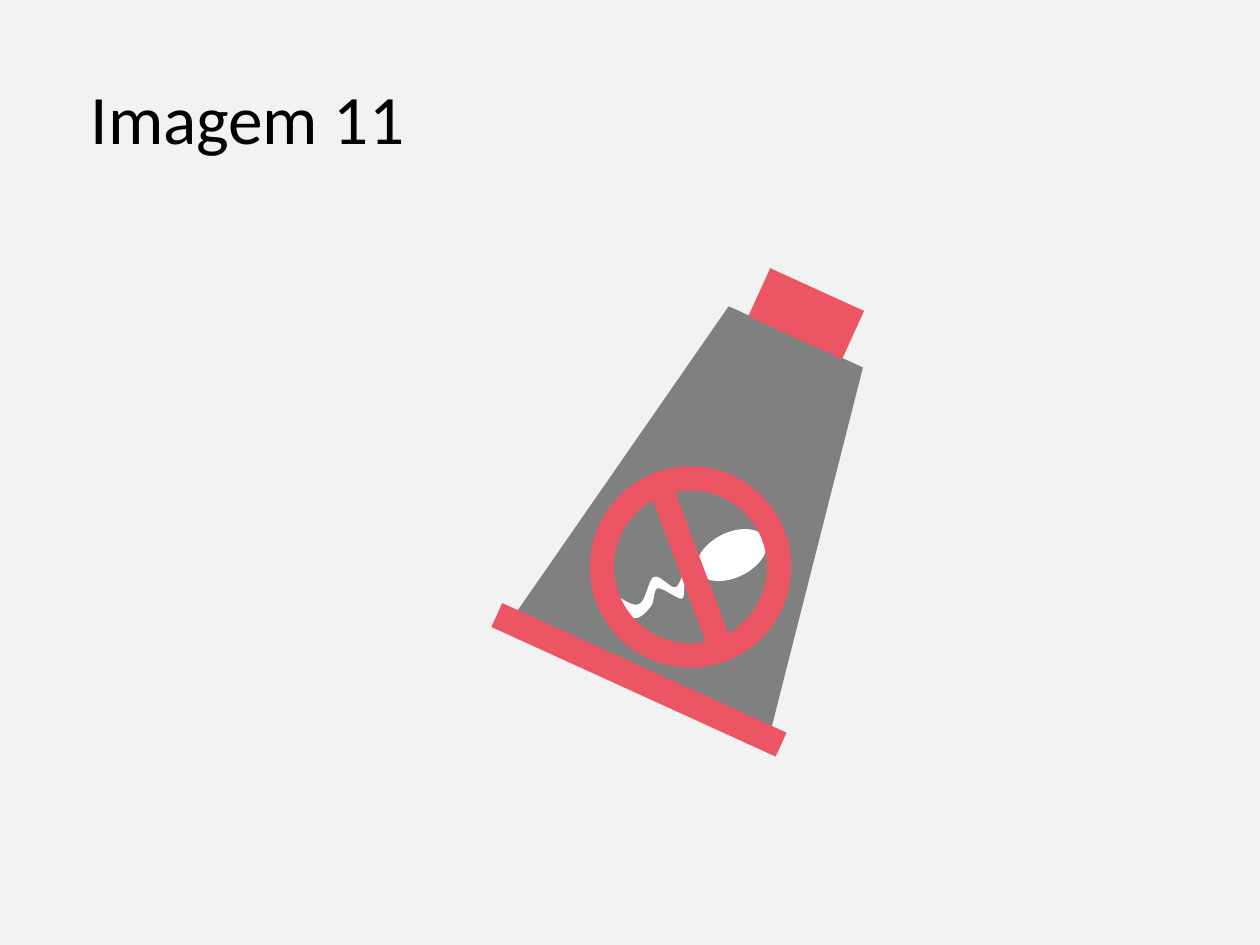
from pptx import Presentation
from pptx.dml.color import RGBColor
from pptx.enum.shapes import MSO_SHAPE as Preset
from pptx.enum.text import MSO_ANCHOR as Anchor, PP_ALIGN as Align
from pptx.util import Cm, Pt

RED, GREY, WHITE = "EC5664", "808080", "FFFFFF"
TILT = 24.5
CURVE_STEPS = 8

TAIL_START = (14.27, 11.46)
TAIL_CURVES = [
    ((14.17, 11.46), (13.94, 11.46), (13.84, 11.53)),
    ((13.72, 11.58), (13.72, 11.81), (13.61, 11.84)),
    ((13.51, 11.86), (13.31, 11.58), (13.18, 11.63)),
    ((13.06, 11.68), (13.03, 12.17), (12.85, 12.19)),
    ((12.67, 12.24), (12.14, 11.76), (12.12, 11.81)),
    ((12.09, 11.84), (12.55, 12.37), (12.7, 12.45)),
    ((12.88, 12.52), (13.03, 12.34), (13.11, 12.24)),
    ((13.21, 12.14), (13.16, 11.89), (13.26, 11.86)),
    ((13.36, 11.84), (13.64, 12.07), (13.74, 12.07)),
    ((13.84, 12.04), (13.74, 11.81), (13.84, 11.73)),
    ((13.94, 11.66), (14.35, 11.63), (14.4, 11.58)),
    ((14.45, 11.53), (14.35, 11.46), TAIL_START),
]


def color(value):
    return RGBColor.from_string(value)


def paint(shape, fill):
    shape.shadow.inherit = False
    shape.fill.solid()
    shape.fill.fore_color.rgb = color(fill)
    shape.line.fill.background()


def add_part(group, preset, place, fill, rotation=TILT, adjustment=None):
    part = group.shapes.add_shape(preset, *(Cm(length) for length in place))
    part.rotation = rotation
    if adjustment is not None:
        part.adjustments[0] = adjustment
    paint(part, fill)


def curve_point(points, t):
    weights = ((1 - t) ** 3, 3 * t * (1 - t) ** 2, 3 * t**2 * (1 - t), t**3)
    return tuple(
        Cm(sum(weight * value for weight, value in zip(weights, axis)))
        for axis in zip(*points)
    )


def add_curved_outline(group, start, curves, fill):
    outline = group.shapes.build_freeform(*(Cm(value) for value in start))
    vertices = []
    for curve in curves:
        vertices += [
            curve_point((start, *curve), step / CURVE_STEPS)
            for step in range(1, CURVE_STEPS + 1)
        ]
        start = curve[-1]
    outline.add_line_segments(vertices, close=True)
    paint(outline.convert_to_shape(), fill)


def set_title(page, text):
    title = page.shapes.title
    title.left, title.top = Cm(1.27), Cm(0.76)
    title.width, title.height = Cm(7.44), Cm(3.18)
    frame = title.text_frame
    frame.text = text
    frame.word_wrap = True
    frame.vertical_anchor = Anchor.MIDDLE
    para = frame.paragraphs[0]
    para.alignment = Align.CENTER
    para.font.name = "Calibri"
    para.font.size = Pt(39.6)
    para.font.color.rgb = color("000000")


def add_tube(page):
    tube = page.shapes.add_group_shape()
    add_part(tube, Preset.TRAPEZOID, (11.61, 6.45, 5.72, 7.59), GREY, adjustment=0.24)
    add_part(tube, Preset.RECTANGLE, (9.73, 13.44, 6.3, 0.53), RED)
    add_part(tube, Preset.RECTANGLE, (15.21, 5.79, 2.08, 1.07), RED)
    add_curved_outline(tube, TAIL_START, TAIL_CURVES, WHITE)
    add_part(tube, Preset.OVAL, (14.3, 10.44, 0.91, 1.5), WHITE, rotation=64.1)
    add_part(tube, Preset.NO_SYMBOL, (11.89, 9.4, 4.06, 4.06), RED, adjustment=0.12)


def main():
    deck = Presentation()
    deck.slide_width, deck.slide_height = Cm(25.4), Cm(19.05)
    page = deck.slides.add_slide(deck.slide_layouts[5])
    page.background.fill.solid()
    page.background.fill.fore_color.rgb = color("F2F2F2")
    set_title(page, "Imagem 11")
    add_tube(page)
    deck.save("out.pptx")


if __name__ == "__main__":
    main()
